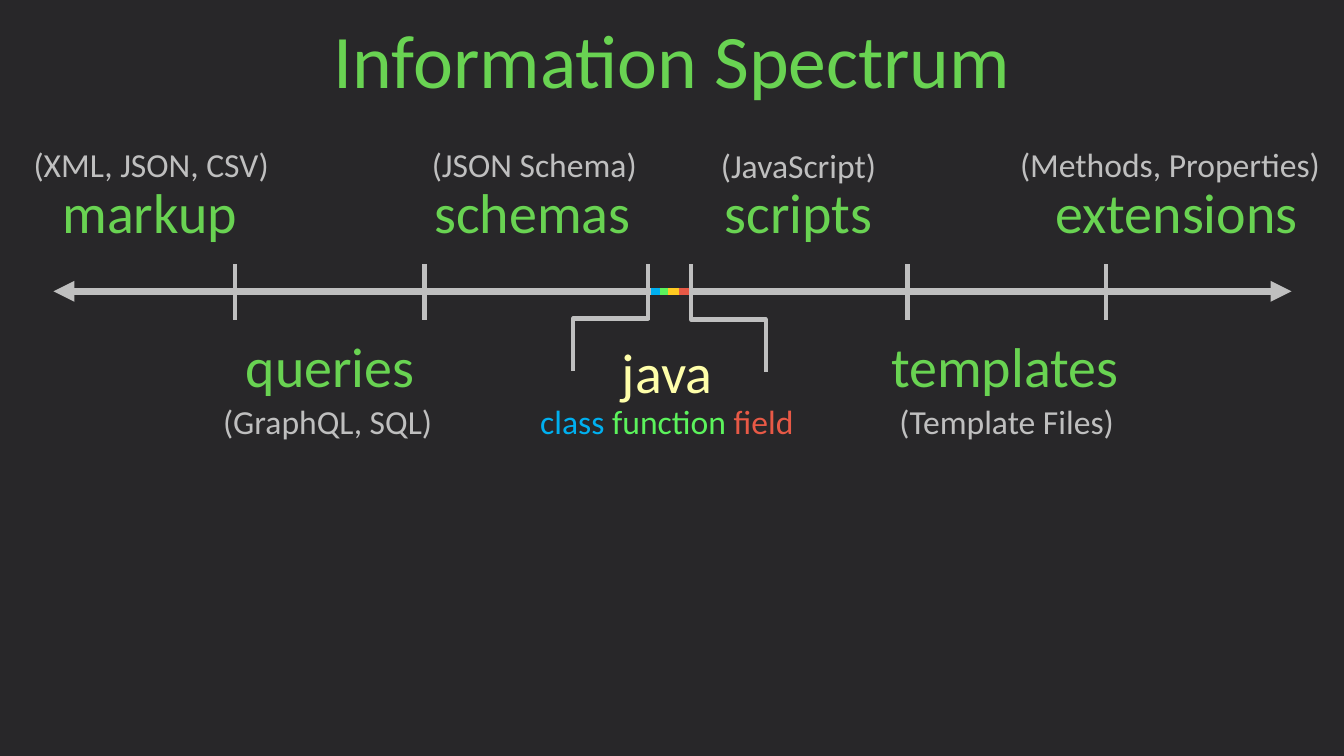
from lxml import etree
from pptx import Presentation, util as u
from pptx.dml.color import RGBColor
from pptx.enum import shapes, text
from pptx.oxml.ns import qn

PX = 9144  # 100 px to the inch
HUES = {
    "back": "282729", "green": "69D352", "grey": "BFBFBF", "cream": "FFFFAA",
    "blue": "00B0F0", "lime": "5CF35C", "gold": "FFCA21", "red": "E85946",
}


class Board:
    font = "Calibri"

    def __init__(self, deck):
        self.slide = deck.slides.add_slide(deck.slide_layouts[5])
        fill = self.slide.background.fill
        fill.solid()
        fill.fore_color.rgb = self.hue("back")

    def hue(self, name):
        return RGBColor.from_string(HUES[name])

    def letter(self, box, parts, size, center):
        frame = box.text_frame
        frame.word_wrap = False
        frame.auto_size = text.MSO_AUTO_SIZE.SHAPE_TO_FIT_TEXT
        para = frame.paragraphs[0]
        para.alignment = text.PP_ALIGN.CENTER if center else text.PP_ALIGN.LEFT
        for words, hue in parts:
            run = para.add_run()
            run.text = words
            run.font.name = self.font
            run.font.size = u.Pt(size)
            run.font.color.rgb = self.hue(hue)

    def title(self, words, x, y, w, h):
        box = self.slide.shapes.title
        box.left, box.top, box.width, box.height = (v * PX for v in (x, y, w, h))
        self.letter(box, [(words, "green")], 54, True)

    def label(self, parts, x, y, w, h, size, center=False):
        box = self.slide.shapes.add_textbox(x * PX, y * PX, w * PX, h * PX)
        self.letter(box, parts, size, center)

    def word(self, words, x, y, w, hue="green"):
        self.label([(words, hue)], x, y, w, 77, 40)

    def note(self, words, x, y, w):
        self.label([(words, "grey")], x, y, w, 50, 24, True)

    def line(self, x1, y1, x2, y2, width=3, hue="grey", heads=False, turn=None):
        kind = shapes.MSO_CONNECTOR.STRAIGHT if turn is None else shapes.MSO_CONNECTOR.ELBOW
        link = self.slide.shapes.add_connector(kind, x1 * PX, y1 * PX, x2 * PX, y2 * PX)
        link.line.width = u.Pt(width)
        link.line.color.rgb = self.hue(hue)
        props = link._element.spPr
        if turn is not None:
            props.find(qn("a:xfrm")).set("rot", str(turn * 60000))
        if heads:
            for end in ("a:headEnd", "a:tailEnd"):
                etree.SubElement(props.find(qn("a:ln")), qn(end), type="triangle")
        etree.SubElement(props, qn("a:effectLst"))


def main():
    deck = Presentation()
    deck.slide_width, deck.slide_height = u.Inches(13.33), u.Inches(7.5)
    board = Board(deck)
    board.title("Information Spectrum", 245, 7, 843, 101)

    # Axis and ticks
    axis = 289
    board.line(53, axis, 1281, axis, 5, heads=True)
    for x in (233, 421, 643, 685, 900, 1097):
        board.line(x, 262, x, 317)

    # Brackets from the middle ticks down to java, drawn as turned elbows
    board.line(553, 279, 658, 353, turn=90)
    board.line(775, 280, 670, 354, turn=270)

    # Labels above the axis: word, left, width, note, left, top, width
    for word, x, w, note, left, top, wide in (
        ("markup", 52, 199, "(XML, JSON, CSV)", 23, 138, 254),
        ("schemas", 421, 217, "(JSON Schema)", 417, 138, 226),
        ("scripts", 709, 170, "(JavaScript)", 691, 139, 202),
        ("extensions", 1037, 264, "(Methods, Properties)", 999, 138, 323),
    ):
        board.word(word, x, 171, w)
        board.note(note, left, top, wide)

    # Labels below the axis
    for word, x, w, note, left, wide in (
        ("queries", 234, 203, "(GraphQL, SQL)", 207, 236),
        ("templates", 874, 248, "(Template Files)", 867, 263),
    ):
        board.word(word, x, 324, w)
        board.note(note, left, 393, wide)

    # Java and its parts
    board.word("java", 607, 330, 119, "cream")
    parts = [("class ", "blue"), ("function ", "lime"), ("field", "red")]
    board.label(parts, 526, 393, 274, 50, 24)

    # Coloured band on the axis
    for x, hue in ((646, "blue"), (655, "lime"), (663, "gold"), (673, "red")):
        board.line(x, axis, x + 10, axis, 5, hue)

    deck.save("out.pptx")


if __name__ == "__main__":
    main()
